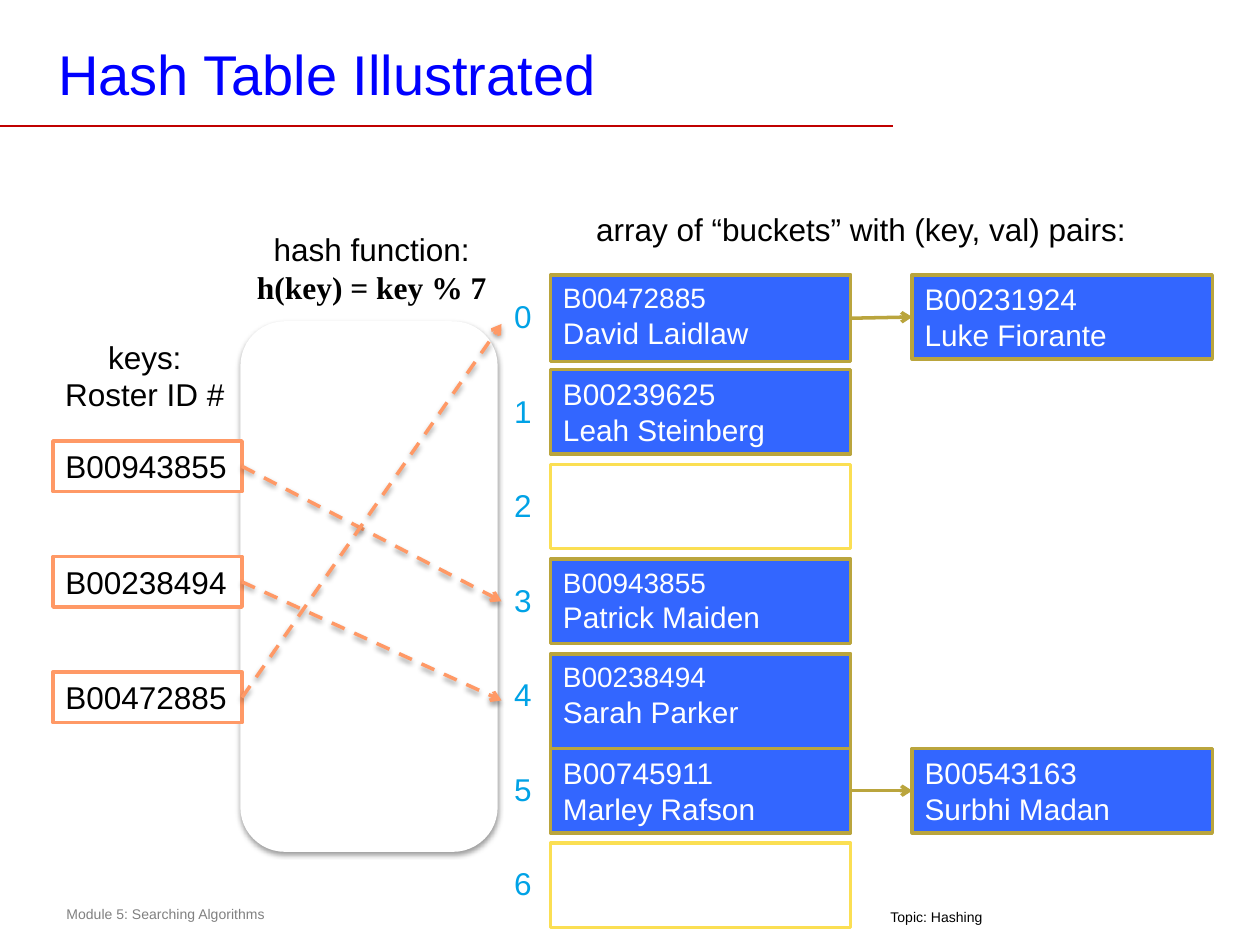
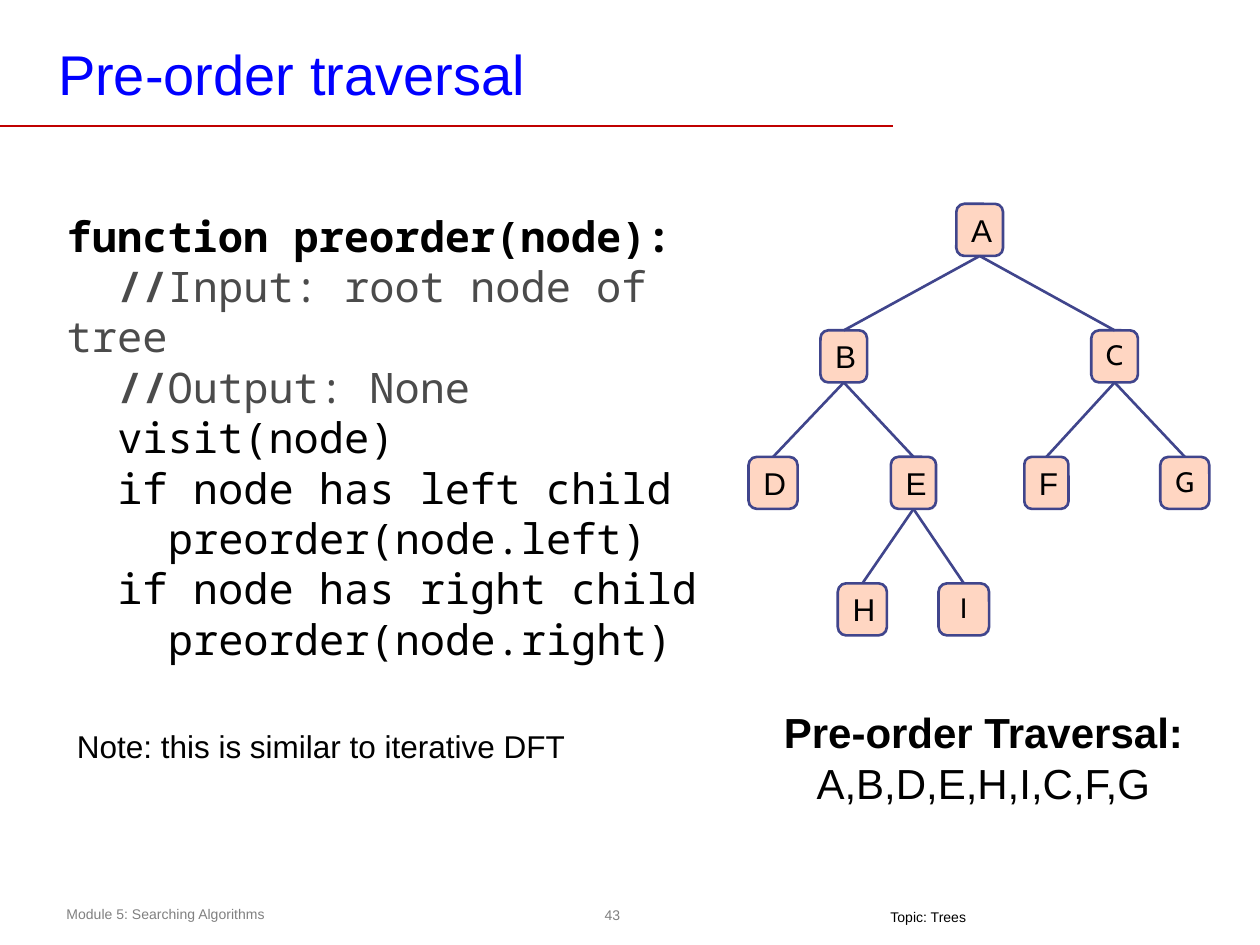
from lxml import etree
from pptx import Presentation
from pptx.dml.color import RGBColor
from pptx.enum.dml import MSO_LINE
from pptx.enum.shapes import MSO_CONNECTOR as CONN, MSO_SHAPE as SHAPE
from pptx.enum.text import MSO_ANCHOR as ANCHOR, MSO_AUTO_SIZE as AUTO, PP_ALIGN as ALIGN
from pptx.oxml import parse_xml
from pptx.oxml.ns import nsdecls, qn
from pptx.util import Cm, Pt

# Colours
BLACK = RGBColor(0x00, 0x00, 0x00)
WHITE = RGBColor(0xFF, 0xFF, 0xFF)
TITLE_BLUE = RGBColor(0x00, 0x00, 0xFF)
RULE_RED = RGBColor(0xC0, 0x00, 0x00)
GREY = RGBColor(0x80, 0x80, 0x80)
COMMENT_GREY = RGBColor(0x4B, 0x4B, 0x4B)
INDEX_BLUE = RGBColor(0x00, 0xA2, 0xE6)
BUCKET_BLUE = RGBColor(0x33, 0x66, 0xFF)
GOLD = RGBColor(0xBA, 0xA5, 0x3D)
YELLOW = RGBColor(0xFB, 0xDF, 0x53)
ORANGE = RGBColor(0xFF, 0x99, 0x66)
PEACH = RGBColor(0xFF, 0xD6, 0xC2)
NAVY = RGBColor(0x40, 0x45, 0x8C)

BASE = {"name": "Arial", "size": Pt(18), "bold": False, "color": BLACK}
NO_EFFECT = f"<a:effectLst {nsdecls('a')}/>"
SHADOW = (f"<a:effectLst {nsdecls('a')}><a:outerShdw blurRad='39370' dist='20320' "
          "dir='5400000' rotWithShape='0'><a:srgbClr val='000000'>"
          "<a:alpha val='38000'/></a:srgbClr></a:outerShdw></a:effectLst>")


def write(tf, paras, align=ALIGN.LEFT, **fmt):
    """Fill a frame; each paragraph is a list of (text, format) runs."""
    for i, runs in enumerate(paras):
        p = tf.paragraphs[0] if i == 0 else tf.add_paragraph()
        p.alignment = align
        for text, own in runs:
            r = p.add_run()
            r.text = text
            for key, value in {**BASE, **fmt, **own}.items():
                if key == "color":
                    r.font.color.rgb = value
                else:
                    setattr(r.font, key, value)


def box(s, kind, at, fill, line, width):
    """Add a flat filled shape with a solid outline."""
    sp = s.shapes.add_shape(kind, *map(Cm, at))
    sp.fill.solid()
    sp.fill.fore_color.rgb = fill
    sp.line.color.rgb = line
    sp.line.width = Pt(width)
    sp.shadow.inherit = False
    sp.text_frame.vertical_anchor = ANCHOR.TOP
    return sp


prs = Presentation()
prs.slide_width, prs.slide_height = Cm(25.4), Cm(19.05)
links = []  # (connector, colour, width, arrow, dashed with shadow)
slides = []

# Shared title, rule and footers
for layout, title, topic in [(5, "Hash Table Illustrated", "Topic: Hashing"),
                             (1, "Pre-order traversal", "Topic: Trees")]:
    s = prs.slides.add_slide(prs.slide_layouts[layout])
    slides.append(s)
    sp = s.shapes.title
    sp.left, sp.top, sp.width, sp.height = map(Cm, (0.99, 0.71, 18.85, 1.52))
    tf = sp.text_frame
    tf.margin_left = tf.margin_right = Cm(0.18)
    tf.margin_top = tf.margin_bottom = Cm(0.08)
    tf.vertical_anchor = ANCHOR.MIDDLE
    tf.auto_size = AUTO.NONE
    write(tf, [[(title, {})]], size=Pt(32), color=TITLE_BLUE)

    rule = s.shapes.add_connector(CONN.STRAIGHT, 0, Cm(2.54), Cm(18.01), Cm(2.54))
    links.append((rule, RULE_RED, 1, False, False))

    tf = s.shapes.add_textbox(*map(Cm, (1.09, 18.14, 9.25, 0.61))).text_frame
    write(tf, [[("Module 5: Searching Algorithms", {})]], size=Pt(8), color=GREY)
    tf = s.shapes.add_textbox(*map(Cm, (17.7, 18.31, 2.39, 0.43))).text_frame
    tf.margin_top, tf.margin_bottom = 0, Cm(0.1)
    tf.word_wrap = False
    write(tf, [[(topic, {})]], size=Pt(8))

hash_slide, tree_slide = slides

# Slide 1: index column
s = hash_slide
table = s.shapes.add_table(7, 1, *map(Cm, (10.11, 5.92, 1.27, 13.34))).table
table.first_row = table.horz_banding = False
for i in range(7):
    cell = table.cell(i, 0)
    cell.fill.background()
    write(cell.text_frame, [[(str(i), {})]], color=INDEX_BLUE)

# Slide 1: buckets (row, column, key, value, key size, height)
BUCKETS = [
    (0, 0, "B00472885", "David Laidlaw", 16, 1.75),
    (1, 0, "B00239625", "Leah Steinberg", 17, 1.7),
    (2, 0, None, None, 0, 1.7),
    (3, 0, "B00943855", "Patrick Maiden", 16, 1.7),
    (4, 0, "B00238494", "Sarah Parker", 16, 2.39),
    (5, 0, "B00745911", "Marley Rafson", 17, 1.7),
    (6, 0, None, None, 0, 1.7),
    (0, 1, "B00231924", "Luke Fiorante", 17, 1.7),
    (5, 1, "B00543163", "Surbhi Madan", 17, 1.7),
]
buckets = {}
for row, col, key, value, size, height in BUCKETS:
    at = (11.1 + 7.29 * col, 5.54 + 1.91 * row, 6.05, height)
    fill, line = (BUCKET_BLUE, GOLD) if key else (WHITE, YELLOW)
    sp = buckets[row, col] = box(s, SHAPE.RECTANGLE, at, fill, line, 2)
    if key:
        write(sp.text_frame, [[(key, {"size": Pt(size)})], [(value, {})]],
              size=Pt(17), color=WHITE)
    if col:
        cx = s.shapes.add_connector(CONN.STRAIGHT, 0, 0, 0, 0)
        cx.begin_connect(buckets[row, 0], 3)
        cx.end_connect(sp, 1)
        links.append((cx, GOLD, 2, True, False))

# Slide 1: hash function box
sp = box(s, SHAPE.ROUNDED_RECTANGLE, (4.9, 6.53, 5.08, 10.59), WHITE, WHITE, 3)
sp_pr = sp._element.spPr
sp_pr.replace(sp_pr.find(qn("a:effectLst")), parse_xml(SHADOW))

# Slide 1: keys and their dashed arrows
for i, (key, end_y) in enumerate([("B00943855", 12.12), ("B00238494", 14.12),
                                  ("B00472885", 6.53)]):
    sp = box(s, SHAPE.RECTANGLE, (1.07, 8.89 + 2.33 * i, 3.81, 1.02), WHITE, ORANGE, 2)
    write(sp.text_frame, [[(key, {})]])
    cx = s.shapes.add_connector(CONN.STRAIGHT, 0, 0, Cm(10.11), Cm(end_y))
    cx.begin_connect(sp, 3)
    links.append((cx, ORANGE, 2, True, True))

# Slide 1: captions
FORMULA = {"name": "Times New Roman", "bold": True}
for at, wrap, paras in [
    ((0.94, 6.68, 3.96, 1.8), False, [[("keys:", {})], [("Roster ID #", {})]]),
    ((4.7, 4.52, 5.59, 1.8), True,
     [[("hash function:", {})], [("h(key) = key % 7", FORMULA)]]),
    ((11.71, 4.11, 11.3, 1.02), False,
     [[("array of “buckets” with (key, val) pairs:", {})]]),
]:
    tf = s.shapes.add_textbox(*map(Cm, at)).text_frame
    tf.word_wrap = wrap
    write(tf, paras, ALIGN.CENTER)

# Slide 2: pseudocode (indent level, runs)
s = tree_slide
MARK = {"bold": True, "color": COMMENT_GREY}
REMARK = {"color": COMMENT_GREY}
CODE = [
    (0, [("function preorder(node):", {"bold": True})]),
    (1, [("//", MARK), ("Input: root node of tree", REMARK)]),
    (1, [("//", MARK), ("Output: None", REMARK)]),
    (1, [("visit(node)", {})]),
    (1, [("if node has left child", {})]),
    (2, [("preorder(node.left)", {})]),
    (1, [("if node has right child", {})]),
    (2, [("preorder(node.right)", {})]),
]
sp = s.placeholders[1]
sp.left, sp.top, sp.width, sp.height = map(Cm, (1.09, 4.11, 14.1, 8.46))
tf = sp.text_frame
tf.auto_size = AUTO.NONE
write(tf, [runs for _, runs in CODE], name="Noto Sans Mono", size=Pt(24))
for p, (level, _) in zip(tf.paragraphs, CODE):
    p.space_before = Pt(0)
    p_pr = p._p.get_or_add_pPr()
    p_pr.set("marL", "0")
    p_pr.set("indent", str(Cm(1.02 * level)))
    etree.SubElement(p_pr, qn("a:buNone"))

# Slide 2: tree (name, parent, level, left, width)
TREE = [
    ("A", None, 0, 19.28, 0.94),
    ("B", "A", 1, 16.54, 0.94),
    ("C", "A", 1, 22.0, 0.94),
    ("D", "B", 2, 15.09, 0.99),
    ("E", "B", 2, 17.96, 0.91),
    ("F", "C", 2, 20.65, 0.89),
    ("G", "C", 2, 23.39, 0.99),
    ("H", "E", 3, 16.89, 0.99),
    ("I", "E", 3, 18.92, 1.02),
]
nodes = {}
for name, parent, level, left, width in TREE:
    at = (left, 4.11 + 2.55 * level, width, 1.05)
    sp = nodes[name] = box(s, SHAPE.ROUNDED_RECTANGLE, at, PEACH, NAVY, 1.5)
    sp.adjustments[0] = 0.17
    tf = sp.text_frame
    tf.vertical_anchor = ANCHOR.MIDDLE
    tf.word_wrap = False
    if name in "CGI":
        write(tf, [[(name, {})]], ALIGN.CENTER, name="Cabin", size=Pt(16))
        tf.paragraphs[0].line_spacing = 0.93
    else:
        write(tf, [[(name, {})]])
    if parent:
        cx = s.shapes.add_connector(CONN.STRAIGHT, 0, 0, 0, 0)
        cx.begin_connect(nodes[parent], 2)
        cx.end_connect(sp, 0)
        links.append((cx, NAVY, 1.5, False, False))

# Slide 2: result and note
for at, align, size, runs in [
    ((15.09, 14.12, 9.47, 2.31), ALIGN.CENTER, 24,
     [("Pre-order Traversal: ", {"bold": True}), ("A,B,D,E,H,I,C,F,G", {})]),
    ((1.3, 14.53, 10.59, 1.07), ALIGN.LEFT, 18,
     [("Note: this is similar to iterative DFT", {})]),
]:
    tf = s.shapes.add_textbox(*map(Cm, at)).text_frame
    tf.word_wrap = True
    write(tf, [runs], align, size=Pt(size))

# Slide 2: page number
tf = s.shapes.add_textbox(*map(Cm, (12.04, 18.11, 0.61, 0.66))).text_frame
tf.margin_left = tf.margin_right = tf.margin_top = tf.margin_bottom = Cm(0.1)
tf.vertical_anchor = ANCHOR.MIDDLE
tf.word_wrap = False
write(tf, [[("43", {})]], ALIGN.CENTER, size=Pt(8), color=GREY)

# Line styles
for cx, color, width, arrow, dashed in links:
    cx.line.color.rgb = color
    cx.line.width = Pt(width)
    if dashed:
        cx.line.dash_style = MSO_LINE.DASH
    if arrow:
        etree.SubElement(cx.line._get_or_add_ln(), qn("a:tailEnd"), type="arrow")
    cx._element.spPr.append(parse_xml(SHADOW if dashed else NO_EFFECT))

prs.save("out.pptx")
